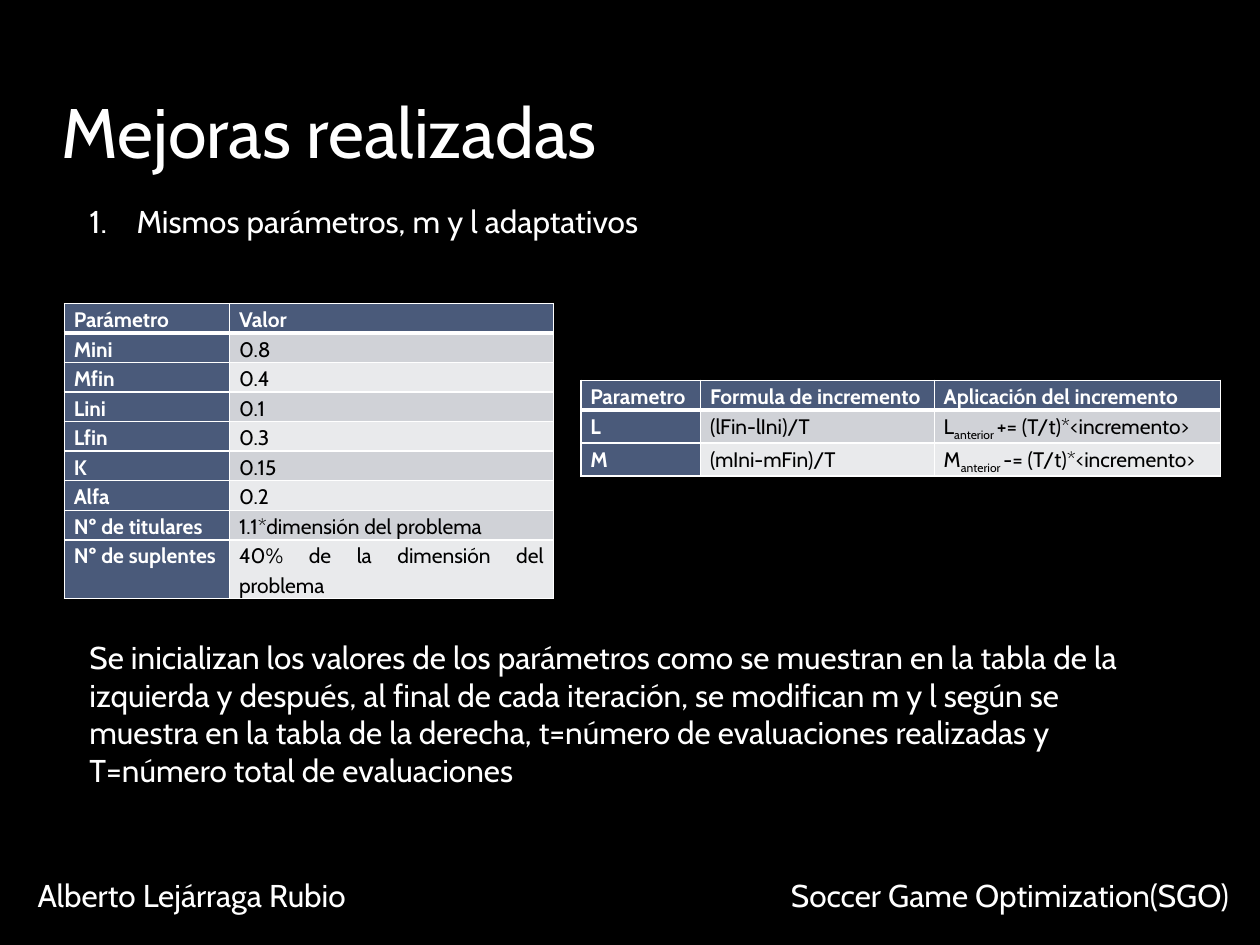
from lxml.etree import SubElement
from pptx import Presentation
from pptx.dml.color import RGBColor
from pptx.enum.text import MSO_ANCHOR, MSO_AUTO_SIZE, PP_ALIGN
from pptx.oxml.ns import qn
from pptx.util import Pt

FONT = "Cabin"
COLORS = {"background": "000000", "light": "FFFFFF", "dark": "000000",
          "header": "4A5A7A", "odd": "D0D2D7", "even": "E9EAEC"}


def color(name):
    return RGBColor.from_string(COLORS[name])


def style_runs(paragraph, size, color_name, bold=False):
    for run in paragraph.runs:
        run.font.name = FONT
        run.font.size = Pt(size)
        run.font.bold = bold
        run.font.color.rgb = color(color_name)


def add_text(slide, box, text, size=18, wrap=True, anchor=MSO_ANCHOR.TOP):
    frame = slide.shapes.add_textbox(*map(Pt, box)).text_frame
    frame.word_wrap = wrap
    frame.auto_size = MSO_AUTO_SIZE.NONE
    frame.vertical_anchor = anchor
    frame.text = text
    style_runs(frame.paragraphs[0], size, "light")
    return frame.paragraphs[0]


def number_paragraph(paragraph, indent):
    props = paragraph._p.get_or_add_pPr()
    props.set("marL", str(Pt(indent)))
    props.set("indent", str(-Pt(indent)))
    SubElement(props, qn("a:buFont"), typeface="+mj-lt")
    SubElement(props, qn("a:buAutoNum"), type="arabicPeriod")


def add_borders(cell, is_header, below_header):
    widths = {"lnL": 1, "lnR": 1, "lnT": 3 if below_header else 1,
              "lnB": 3 if is_header else 1}
    props = cell._tc.get_or_add_tcPr()
    for side, width in widths.items():
        line = SubElement(props, qn(f"a:{side}"), w=str(Pt(width)))
        fill = SubElement(line, qn("a:solidFill"))
        SubElement(fill, qn("a:srgbClr"), val=COLORS["light"])


def fill_cell(cell, content, row, col):
    is_label = row == 0 or col == 0
    add_borders(cell, row == 0, row == 1)
    cell.fill.solid()
    cell.fill.fore_color.rgb = color(
        "header" if is_label else "odd" if row % 2 else "even")
    cell.margin_left = cell.margin_right = Pt(5.4)
    cell.margin_top = cell.margin_bottom = 0
    paragraph = cell.text_frame.paragraphs[0]
    paragraph.alignment = PP_ALIGN.JUSTIFY
    paragraph.line_spacing = 1.15
    # A tuple holds base text, subscript, base text
    parts = content if isinstance(content, tuple) else (content,)
    for index, part in enumerate(parts):
        run = paragraph.add_run()
        run.text = part
        if index == 1:
            run.font._element.set("baseline", "-25000")
    style_runs(paragraph, 12, "light" if is_label else "dark", is_label)


def add_parameter_table(slide, left, top, col_widths, rows, row_height=16.56):
    table = slide.shapes.add_table(
        len(rows), len(col_widths), Pt(left), Pt(top),
        Pt(sum(col_widths)), Pt(row_height * len(rows))).table
    for column, width in zip(table.columns, col_widths):
        column.width = Pt(width)
    for r, contents in enumerate(rows):
        table.rows[r].height = Pt(row_height)
        for c, content in enumerate(contents):
            fill_cell(table.cell(r, c), content, r, c)


def add_footer(slide, left, top, width, height):
    author_width, topic_width = 194, 265
    add_text(slide, (left, top, author_width, height),
             "Alberto Lejárraga Rubio", wrap=False)
    add_text(slide, (left + width - topic_width, top, topic_width, height),
             "Soccer Game Optimization(SGO)", wrap=False)


def build_improvements(slide):
    slide.background.fill.solid()
    slide.background.fill.fore_color.rgb = color("background")

    # Heading and numbered point
    title = add_text(slide, (28, 18, 605, 84), "Mejoras realizadas", 40,
                     anchor=MSO_ANCHOR.BOTTOM)
    title.space_before = Pt(4)
    point = add_text(slide, (44, 111.6, 442, 29),
                     "Mismos parámetros, m y l adaptativos")
    number_paragraph(point, 27)

    # Initial values
    add_parameter_table(slide, 36.8, 173.5, (94.4, 185), [
        ("Parámetro", "Valor"),
        ("Mini", "0.8"),
        ("Mfin", "0.4"),
        ("Lini", "0.1"),
        ("Lfin", "0.3"),
        ("K", "0.15"),
        ("Alfa", "0.2"),
        ("Nº de titulares", "1.1*dimensión del problema"),
        ("Nº de suplentes", "40% de la dimensión del problema"),
    ])

    # Increment formulas
    add_parameter_table(slide, 331.9, 217.4, (68.5, 133.5, 163.6), [
        ("Parametro", "Formula de incremento", "Aplicación del incremento"),
        ("L", "(lFin-lIni)/T", ("L", "anterior ", "+= (T/t)*<incremento>")),
        ("M", "(mIni-mFin)/T", ("M", "anterior ", "-= (T/t)*<incremento>")),
    ])

    # Explanation
    add_text(slide, (44, 361, 605.5, 94),
             "Se inicializan los valores de los parámetros como se muestran en "
             "la tabla de la izquierda y después, al final de cada iteración, "
             "se modifican m y l según se muestra en la tabla de la derecha, "
             "t=número de evaluaciones realizadas y T=número total de "
             "evaluaciones")

    add_footer(slide, 14.4, 497, 695.5, 29)


deck = Presentation()
deck.slide_width, deck.slide_height = Pt(720), Pt(540)
build_improvements(deck.slides.add_slide(deck.slide_layouts[6]))
deck.save("out.pptx")
